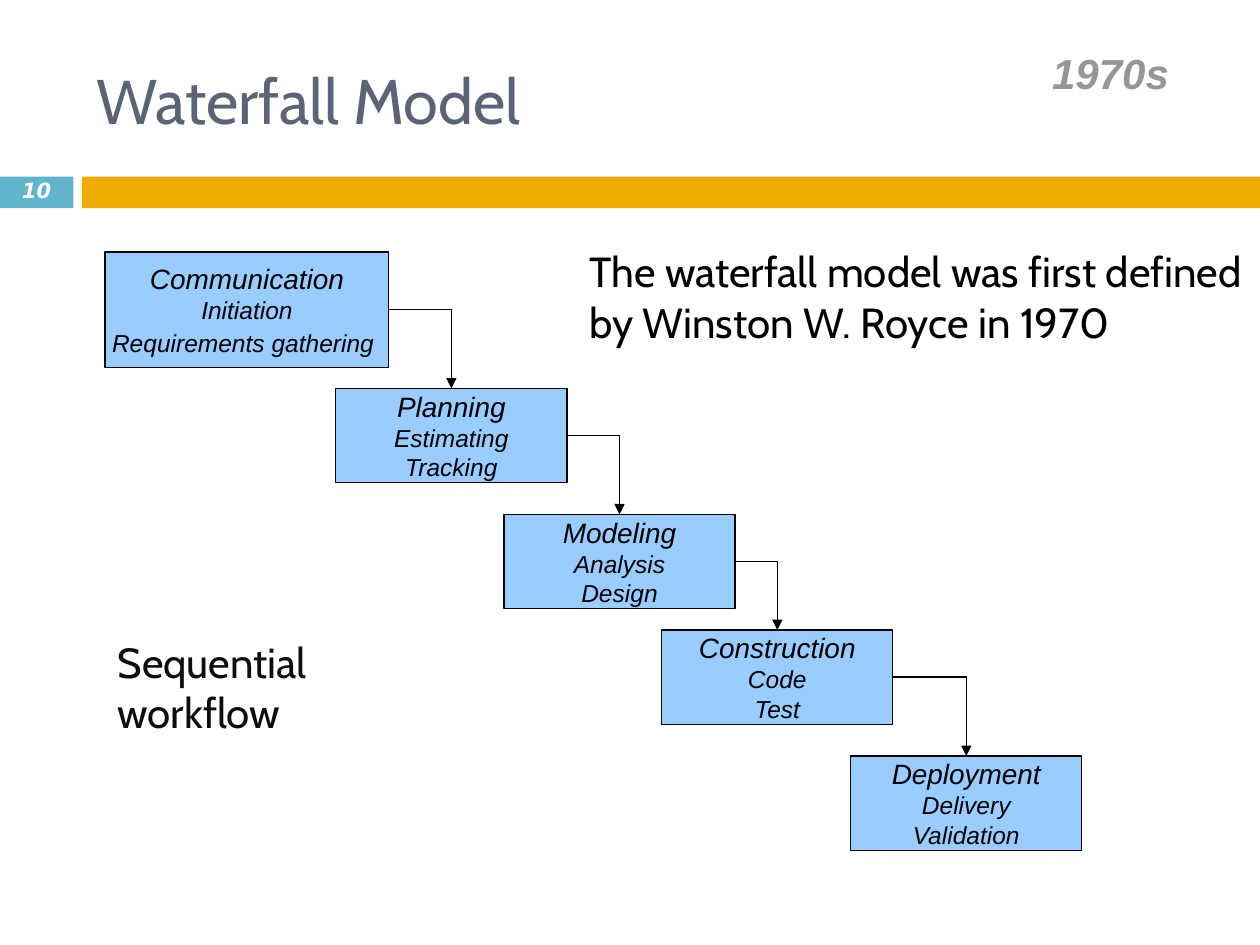
from lxml import etree
from pptx import Presentation
from pptx import util as u
from pptx.dml.color import RGBColor
from pptx.enum import shapes, text
from pptx.oxml import ns

COLORS = {
    "teal": "60B5CC", "amber": "F0AD00", "slate": "5A6378", "sky": "99CCFF",
    "black": "000000", "ink": "0D0D0D", "gray": "969696", "white": "FFFFFF",
}


def add_run(paragraph, words, size, font, color, bold=False, italic=False):
    run = paragraph.add_run()
    run.text = words
    run.font.size = u.Pt(size)
    run.font.name = font
    run.font.bold = bold
    run.font.italic = italic
    run.font.color.rgb = RGBColor.from_string(COLORS[color])


def add_box(left, top, width, height, fill, line=None):
    box = slide.shapes.add_shape(
        shapes.MSO_SHAPE.RECTANGLE, u.Cm(left), u.Cm(top), u.Cm(width), u.Cm(height))
    box.shadow.inherit = False
    box.fill.solid()
    box.fill.fore_color.rgb = RGBColor.from_string(COLORS[fill])
    if line:
        box.line.color.rgb = RGBColor.from_string(COLORS[line])
        box.line.width = u.Pt(0.75)
    else:
        box.line.fill.background()
    return box


deck = Presentation()
deck.slide_width, deck.slide_height = u.Cm(25.4), u.Cm(19.05)
slide = deck.slides.add_slide(deck.slide_layouts[5])

add_box(0, 3.56, 1.48, 0.64, "teal")
add_box(1.65, 3.56, 23.75, 0.64, "amber")

title = slide.shapes.title
title.left, title.top, title.width, title.height = u.Cm(1.7), u.Cm(0.64), u.Cm(22.66), u.Cm(2.74)
title.text_frame.vertical_anchor = text.MSO_ANCHOR.MIDDLE
heading = title.text_frame.paragraphs[0]
heading.alignment = text.PP_ALIGN.LEFT
add_run(heading, "Waterfall Model", 36, "Cabin", "slate")

page = slide.shapes.add_textbox(u.Cm(0), u.Cm(3.53), u.Cm(1.48), u.Cm(0.69))
page.text_frame.vertical_anchor = text.MSO_ANCHOR.MIDDLE
page_number = page.text_frame.paragraphs[0]
page_number.alignment = text.PP_ALIGN.CENTER
page_number.line_spacing = 0.8
add_run(page_number, "10", 12, "DejaVu Sans", "white", bold=True, italic=True)

phases = [
    (2.12, 5.08, 5.72, 2.33, ["Communication", "Initiation", "Requirements gathering"]),
    (6.77, 7.83, 4.66, 1.9, ["Planning", "Estimating", "Tracking"]),
    (10.16, 10.37, 4.66, 1.9, ["Modeling", "Analysis", "Design"]),
    (13.34, 12.7, 4.66, 1.9, ["Construction", "Code", "Test"]),
    (17.15, 15.24, 4.66, 1.9, ["Deployment", "Delivery", "Validation"]),
]
steps = []
for left, top, width, height, lines in phases:
    step = add_box(left, top, width, height, "sky", "black")
    frame = step.text_frame
    frame.word_wrap = False
    frame.vertical_anchor = text.MSO_ANCHOR.MIDDLE
    for row, words in enumerate(lines):
        paragraph = frame.add_paragraph() if row else frame.paragraphs[0]
        paragraph.alignment = text.PP_ALIGN.CENTER
        add_run(paragraph, words, 14 if row else 16, "Arial", "black", italic=True)
        if words == "Requirements gathering":
            add_run(paragraph, " ", 16, "Arial", "black", italic=True)
    steps.append(step)

for upper, lower in zip(steps, steps[1:]):
    flow = slide.shapes.add_connector(shapes.MSO_CONNECTOR.ELBOW, 0, 0, 0, 0)
    flow.begin_connect(upper, 3)
    flow.end_connect(lower, 0)
    flow.line.color.rgb = RGBColor.from_string(COLORS["black"])
    flow.line.width = u.Pt(0.75)
    properties = flow.element.spPr
    properties.find(ns.qn("a:prstGeom")).set("prst", "bentConnector2")
    etree.SubElement(properties.find(ns.qn("a:ln")), ns.qn("a:tailEnd"), type="triangle")
    etree.SubElement(properties, ns.qn("a:effectLst"))

notes = [
    (2.12, 12.7, 7.44, 1.3, "Sequential workflow", "Cabin", "ink", False),
    (20.96, 0.84, 2.9, 1.3, "1970s", "Arial", "gray", True),
    (11.63, 4.83, 13.77, 2.31,
     "The waterfall model was first defined by Winston W. Royce in 1970", "Cabin", "black", False),
]
for left, top, width, height, words, font, color, strong in notes:
    note = slide.shapes.add_textbox(u.Cm(left), u.Cm(top), u.Cm(width), u.Cm(height))
    note.text_frame.word_wrap = True
    add_run(note.text_frame.paragraphs[0], words, 24, font, color, bold=strong, italic=strong)

deck.save("out.pptx")
